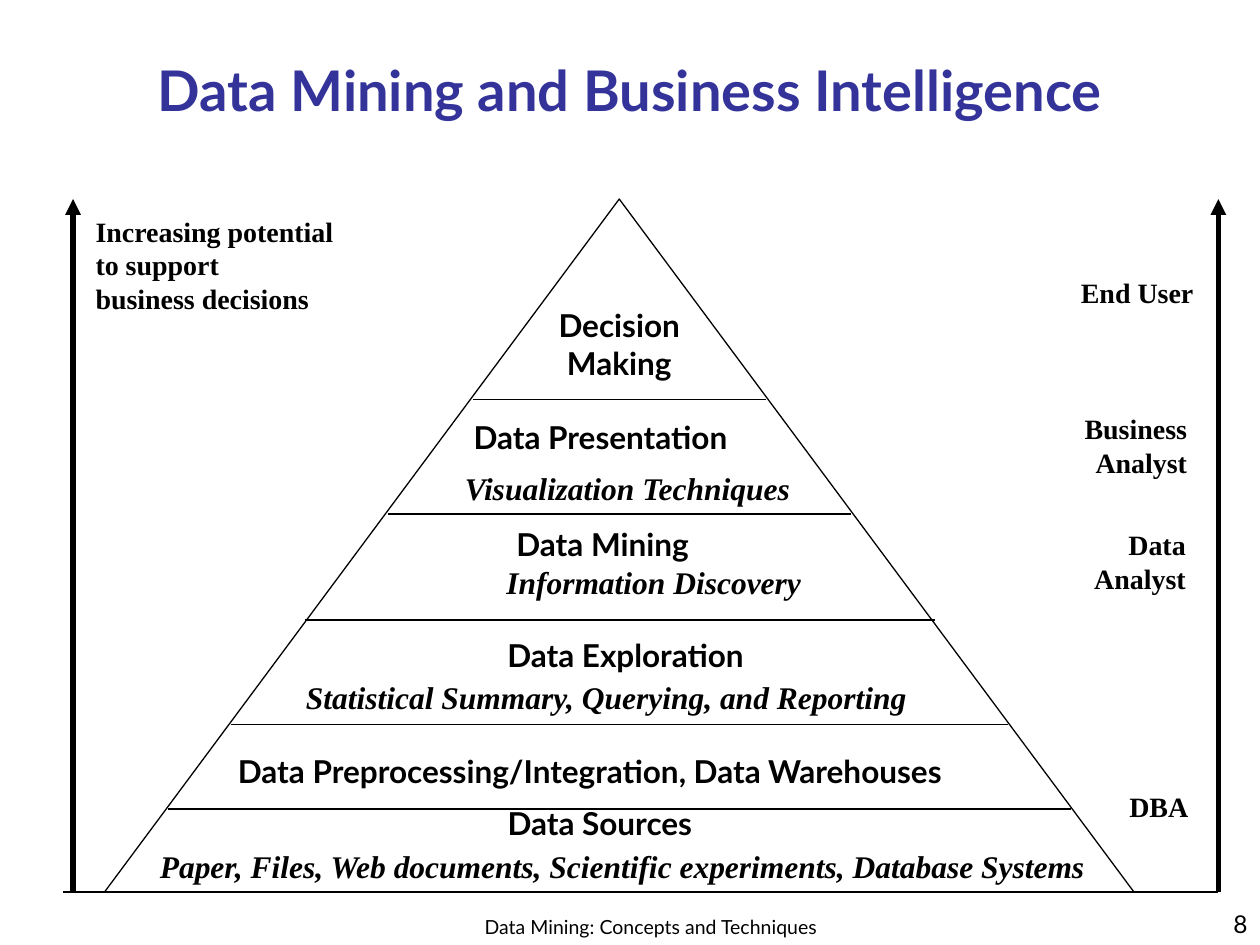
from dataclasses import dataclass

from lxml.etree import SubElement
from pptx import Presentation
from pptx.dml.color import RGBColor
from pptx.enum.shapes import MSO_CONNECTOR, MSO_SHAPE
from pptx.enum.text import MSO_ANCHOR as Anchor
from pptx.enum.text import MSO_AUTO_SIZE as AutoSize
from pptx.enum.text import PP_ALIGN as Align
from pptx.oxml.ns import qn
from pptx.util import Inches, Pt


@dataclass(frozen=True)
class Theme:
    ink: RGBColor = RGBColor(0x00, 0x00, 0x00)
    accent: RGBColor = RGBColor(0x33, 0x33, 0x99)
    sans: str = "Lato"
    serif: str = "Times New Roman"
    title: float = 32
    level: float = 18
    side: float = 16
    number: float = 14
    footer: float = 11.1
    thin: float = 0.75
    thick: float = 3


class SlideBuilder:
    """Holds the theme and the slide being built."""

    def __init__(self, deck, theme):
        self.theme = theme
        self.slide = deck.slides.add_slide(deck.slide_layouts[5])

    def fill_text(self, frame, lines, size, name, align=Align.LEFT,
                  bold=True, italic=False, color=None):
        font_values = {"size": Pt(size), "name": name,
                       "bold": bold, "italic": italic}
        for index, line in enumerate(lines):
            para = frame.paragraphs[0] if index == 0 else frame.add_paragraph()
            para.alignment = align
            span = para.add_run()
            span.text = line
            for key, value in font_values.items():
                setattr(span.font, key, value)
            span.font.color.rgb = color or self.theme.ink

    def title(self, text, left, top, width, height):
        box = self.slide.shapes.title
        place = {"left": left, "top": top, "width": width, "height": height}
        for key, value in place.items():
            setattr(box, key, Inches(value))
        box.text_frame.vertical_anchor = Anchor.MIDDLE
        box.text_frame.auto_size = AutoSize.NONE
        self.fill_text(box.text_frame, [text], self.theme.title,
                       self.theme.sans, Align.CENTER, color=self.theme.accent)

    def text(self, lines, left, top, width, height, size, name, wrap=False,
             anchor=Anchor.TOP, auto_size=AutoSize.SHAPE_TO_FIT_TEXT, **style):
        box = self.slide.shapes.add_textbox(
            *map(Inches, (left, top, width, height)))
        frame_values = {"word_wrap": wrap, "vertical_anchor": anchor,
                        "auto_size": auto_size}
        for key, value in frame_values.items():
            setattr(box.text_frame, key, value)
        self.fill_text(box.text_frame, lines, size, name, **style)
        return box

    def page_text(self, text, left, top, width, height, size, align):
        return self.text([text], left, top, width, height, size,
                         self.theme.sans, wrap=True, anchor=Anchor.BOTTOM,
                         auto_size=AutoSize.NONE, align=align, bold=False)

    def triangle(self, left, top, width, height):
        shape = self.slide.shapes.add_shape(
            MSO_SHAPE.FLOWCHART_EXTRACT,
            *map(Inches, (left, top, width, height)))
        shape.shadow.inherit = False
        shape.fill.background()
        shape.line.color.rgb = self.theme.ink
        shape.line.width = Pt(self.theme.thin)

    def line(self, x1, y1, x2, y2, weight):
        line = self.slide.shapes.add_connector(
            MSO_CONNECTOR.STRAIGHT, *map(Inches, (x1, y1, x2, y2)))
        line.line.color.rgb = self.theme.ink
        line.line.width = Pt(weight)
        SubElement(line._element.spPr, qn("a:effectLst"))
        return line

    def arrow(self, x1, y1, x2, y2):
        arrow = self.line(x1, y1, x2, y2, self.theme.thick)
        SubElement(arrow.line._get_or_add_ln(), qn("a:tailEnd"),
                   type="triangle")


APEX, BASE = 1.58, 7.08
LINE_HEIGHT = 0.4

# Left, right and height of the lines between pyramid levels
DIVIDERS = [
    (1.33, 8.5, 6.42),
    (1.83, 8, 5.75),
    (2.42, 7.42, 4.92),
    (3.08, 6.75, 4.08),
    (3.75, 6.08, 3.17),
]

# Text, left, top, width, wrap, alignment
LEVELS = [
    ("Data Presentation", 3.66, 3.27, 2.48, False, Align.LEFT),
    ("Data Mining", 4, 4.12, 1.95, True, Align.LEFT),
    ("Data Exploration", 3.68, 5, 2.57, True, Align.CENTER),
    ("Data Preprocessing/Integration, Data Warehouses",
     1.79, 5.92, 6.5, False, Align.LEFT),
    ("Data Sources", 3.93, 6.33, 1.83, False, Align.LEFT),
]

# Text, left, top, width, wrap
DETAILS = [
    ("Visualization Techniques", 3.59, 3.67, 2.82, False),
    ("Information Discovery", 3.92, 4.42, 2.54, False),
    ("Statistical Summary, Querying, and Reporting", 2.33, 5.33, 5, True),
    ("Paper, Files, Web documents, Scientific experiments, Database Systems",
     1.17, 6.67, 7.79, True),
]

# Lines, left, top, width, height
ROLES = [
    (["End User"], 8.48, 2.14, 1.09, 0.37),
    (["Business", "Analyst"], 8.48, 3.22, 1.04, 0.64),
    (["Data", "Analyst"], 8.58, 4.14, 0.93, 0.64),
    (["DBA"], 8.86, 6.22, 0.67, 0.37),
]


def main():
    deck = Presentation()
    deck.slide_width, deck.slide_height = Inches(10), Inches(7.5)
    theme = Theme()
    page = SlideBuilder(deck, theme)

    # Footer, page number and title
    footer = page.page_text("Data Mining: Concepts and Techniques",
                            3.58, 7.08, 3.17, 0.42, theme.footer, Align.CENTER)
    footer.text_frame.paragraphs[0].line_spacing = 0.9
    page.page_text("8", 7.92, 7, 2.08, 0.5, theme.number, Align.RIGHT)
    page.title("Data Mining and Business Intelligence", 0.25, 0.42, 9.5, 0.58)

    # Pyramid and its dividers
    page.triangle(0.83, APEX, 8.17, BASE - APEX)
    for left, right, height in DIVIDERS:
        page.line(left, height, right, height, theme.thin)

    # Side arrows and their labels
    for x in (0.58, 9.67):
        page.arrow(x, BASE, x, APEX)
    page.text(["Increasing potential", "to support", "business decisions"],
              0.66, 1.65, 2.09, 0.9, theme.side, theme.serif)
    for lines, *place in ROLES:
        page.text(lines, *place, theme.side, theme.serif, align=Align.RIGHT)

    # Pyramid levels
    page.text(["Decision Making"], 4.25, 2.38, 1.33, 0.7, theme.level,
              theme.sans, wrap=True, align=Align.CENTER)
    for text, left, top, width, wrap, align in LEVELS:
        page.text([text], left, top, width, LINE_HEIGHT, theme.level,
                  theme.sans, wrap=wrap, align=align)
    for text, left, top, width, wrap in DETAILS:
        page.text([text], left, top, width, LINE_HEIGHT, theme.level,
                  theme.serif, wrap=wrap, italic=True)

    # Ground line
    page.line(0.5, BASE, 9.67, BASE, theme.thin)

    deck.save("out.pptx")


if __name__ == "__main__":
    main()
